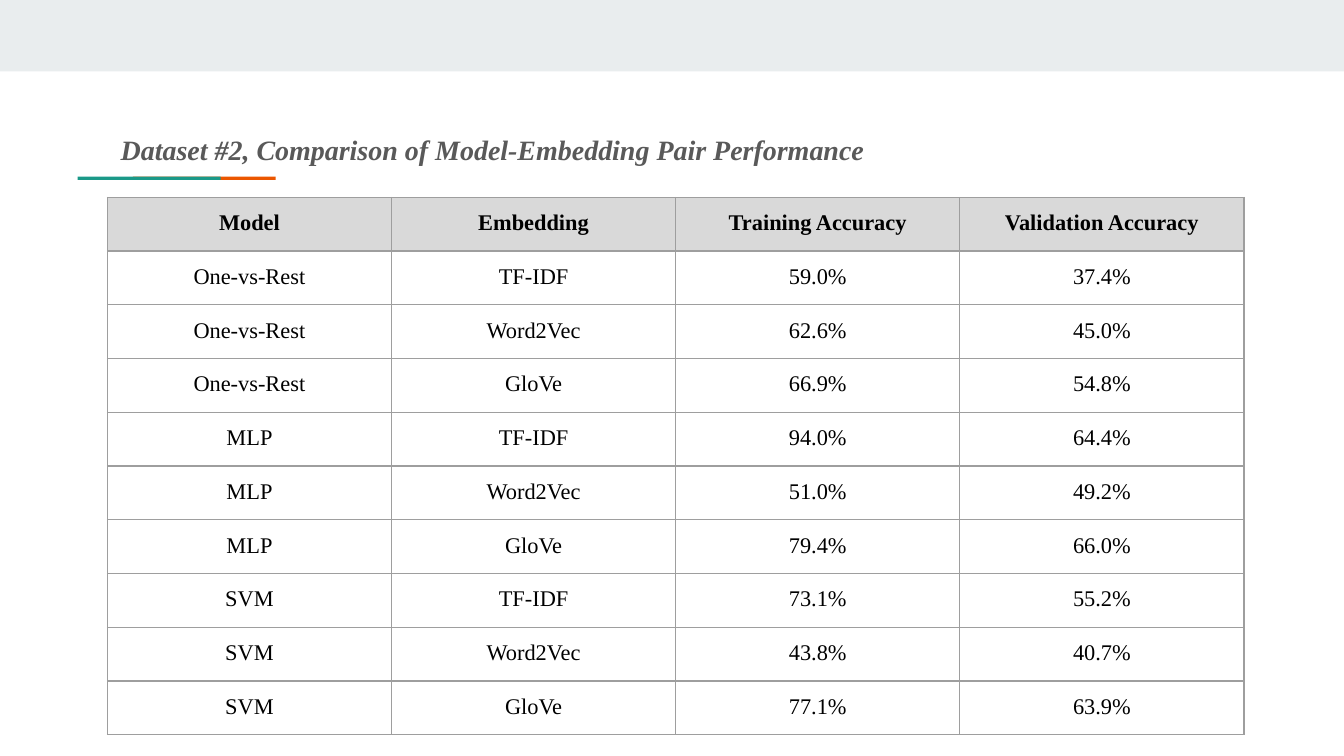
"""Build a slide that compares the accuracy of model and embedding pairs."""
from dataclasses import dataclass
from itertools import product

from lxml.etree import SubElement
from pptx import Presentation
from pptx.dml.color import RGBColor as Rgb
from pptx.enum.shapes import MSO_SHAPE as ShapeKind
from pptx.enum.text import MSO_ANCHOR as Anchor, PP_ALIGN as Align
from pptx.oxml.ns import qn
from pptx.slide import Slide
from pptx.table import _Cell as Cell
from pptx.text.text import TextFrame
from pptx.util import Cm, Pt


@dataclass(frozen=True)
class Theme:
    font: str = "Times New Roman"
    title_size: float = 15
    table_size: float = 12
    title: str = "595959"
    text: str = "000000"
    band: str = "E9EDEE"
    orange: str = "EB5600"
    green: str = "1A9988"
    header: str = "D9D9D9"
    border: str = "9E9E9E"
    border_width: float = 0.75


@dataclass(frozen=True)
class Box:
    left: float
    top: float
    width: float
    height: float

    def lengths(self) -> tuple:
        return Cm(self.left), Cm(self.top), Cm(self.width), Cm(self.height)


@dataclass(frozen=True)
class Bar:
    box: Box
    color: str


@dataclass(frozen=True)
class Result:
    model: str
    embedding: str
    training: str
    validation: str


THEME = Theme()
INSET = Cm(0.25)
PAGE_WIDTH, PAGE_HEIGHT = 25.4, 14.29
TITLE = "Dataset #2, Comparison of Model-Embedding Pair Performance"
TITLE_BOX = Box(2.03, 2.26, 19.96, 1.14)
TABLE_BOX = Box(2.03, 3.73, 21.48, 10.16)
BARS = (
    Bar(Box(0, 0, PAGE_WIDTH, 1.35), THEME.band),
    Bar(Box(2.51, 3.34, 2.7, 0.06), THEME.orange),
    Bar(Box(1.47, 3.34, 2.7, 0.06), THEME.green),
)
HEADINGS = ("Model", "Embedding", "Training Accuracy", "Validation Accuracy")
MODELS = ("One-vs-Rest", "MLP", "SVM")
EMBEDDINGS = ("TF-IDF", "Word2Vec", "GloVe")
ACCURACIES = (
    ("59.0%", "37.4%"), ("62.6%", "45.0%"), ("66.9%", "54.8%"),
    ("94.0%", "64.4%"), ("51.0%", "49.2%"), ("79.4%", "66.0%"),
    ("73.1%", "55.2%"), ("43.8%", "40.7%"), ("77.1%", "63.9%"),
)
RESULTS = [
    Result(*pair, *accuracy)
    for pair, accuracy in zip(product(MODELS, EMBEDDINGS), ACCURACIES)
]


def write(frame: TextFrame, text: str, size: float, color: str,
          align: Align, bold: bool, italic: bool = False) -> None:
    frame.text = text
    para = frame.paragraphs[0]
    para.alignment = align
    for span in para.runs:
        span.font.name = THEME.font
        span.font.size = Pt(size)
        span.font.bold = bold
        span.font.italic = italic
        span.font.color.rgb = Rgb.from_string(color)


def set_insets(target: TextFrame | Cell) -> None:
    target.margin_left = target.margin_right = INSET
    target.margin_top = target.margin_bottom = INSET
    target.vertical_anchor = Anchor.TOP


def draw_bar(page: Slide, bar: Bar) -> None:
    shape = page.shapes.add_shape(ShapeKind.RECTANGLE, *bar.box.lengths())
    shape.shadow.inherit = False
    shape.fill.solid()
    shape.fill.fore_color.rgb = Rgb.from_string(bar.color)
    shape.line.fill.background()


def draw_title(page: Slide) -> None:
    title = page.shapes.title
    title.left, title.top, title.width, title.height = TITLE_BOX.lengths()
    frame = title.text_frame
    frame.word_wrap = True
    set_insets(frame)
    write(frame, TITLE, THEME.title_size, THEME.title, Align.LEFT, True, True)


def add_borders(cell: Cell) -> None:
    properties = cell._tc.get_or_add_tcPr()
    for side in ("L", "R", "T", "B"):
        line = SubElement(properties, qn(f"a:ln{side}"), w=str(Pt(THEME.border_width)))
        fill = SubElement(line, qn("a:solidFill"))
        SubElement(fill, qn("a:srgbClr"), val=THEME.border)


def draw_cell(cell: Cell, text: str, is_header: bool) -> None:
    set_insets(cell)
    write(cell.text_frame, text, THEME.table_size, THEME.text, Align.CENTER, is_header)
    add_borders(cell)
    if is_header:
        cell.fill.solid()
        cell.fill.fore_color.rgb = Rgb.from_string(THEME.header)
    else:
        cell.fill.background()


def draw_table(page: Slide) -> None:
    rows = [HEADINGS] + [
        (result.model, result.embedding, result.training, result.validation)
        for result in RESULTS
    ]
    table = page.shapes.add_table(len(rows), len(HEADINGS), *TABLE_BOX.lengths()).table
    table.horz_banding = False
    for row_index, texts in enumerate(rows):
        for column_index, text in enumerate(texts):
            draw_cell(table.cell(row_index, column_index), text, row_index == 0)


def main() -> None:
    deck = Presentation()
    deck.slide_width, deck.slide_height = Cm(PAGE_WIDTH), Cm(PAGE_HEIGHT)
    page = deck.slides.add_slide(deck.slide_layouts.get_by_name("Title Only"))
    for bar in BARS:
        draw_bar(page, bar)
    draw_title(page)
    draw_table(page)
    deck.save("out.pptx")


if __name__ == "__main__":
    main()
